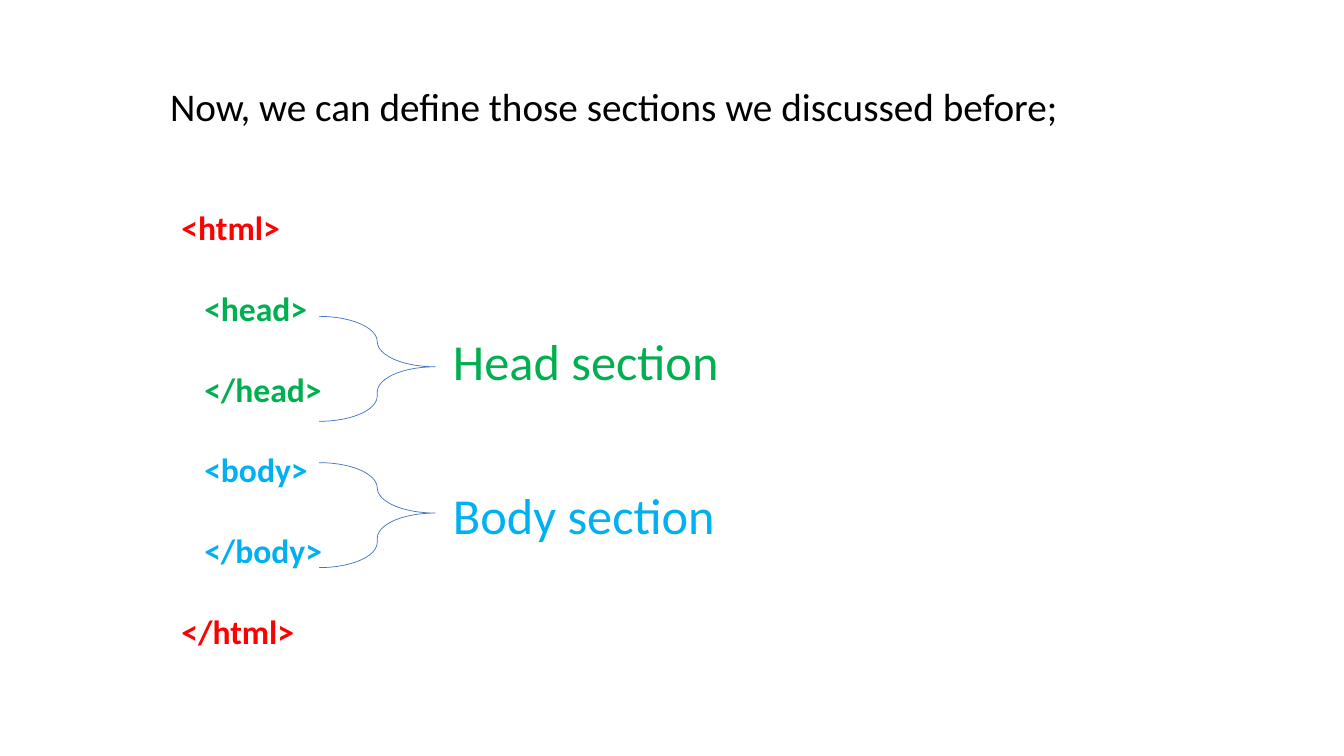
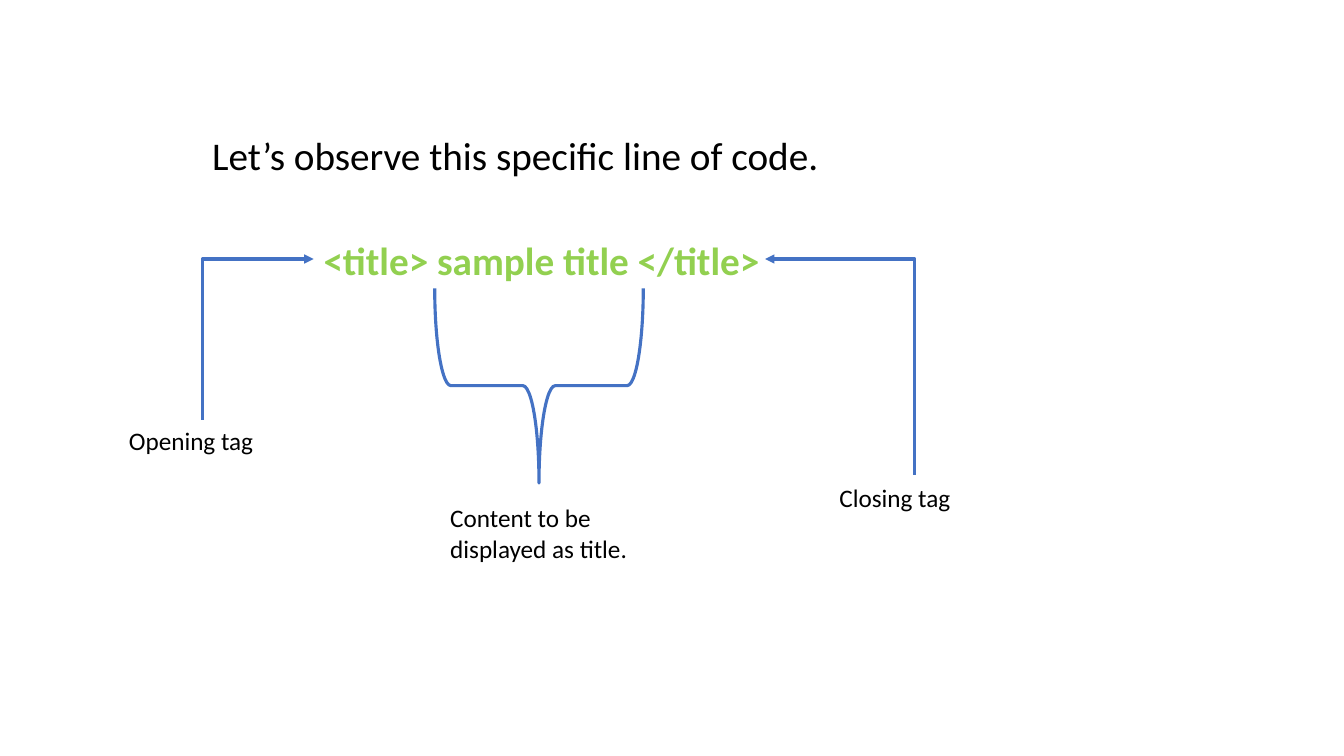
import pptx
import pptx.util
import pptx.dml.color
import pptx.enum.shapes
import pptx.oxml
import pptx.oxml.ns

Pt = pptx.util.Pt
SHAPES = pptx.enum.shapes
FONT = "Calibri"
COLORS = {
    "text": "000000",
    "html": "FF0000",
    "head": "00B050",
    "body": "00B0F0",
    "title": "92D050",
    "line": "4472C4",
}


def rgb(name):
    return pptx.dml.color.RGBColor.from_string(COLORS[name])


def style_line(shape, width):
    shape.line.color.rgb = rgb("line")
    shape.line.width = Pt(width)


def style_para(para, size, color, bold=False):
    para.font.name = FONT
    para.font.size = Pt(size)
    para.font.bold = bold
    para.font.color.rgb = rgb(color)


def add_frame(page, left, top, width, height):
    box = page.shapes.add_textbox(Pt(left), Pt(top), Pt(width), Pt(height))
    box.text_frame.word_wrap = True
    return box.text_frame


def add_label(page, left, top, width, height, text, size, color="text", bold=False):
    para = add_frame(page, left, top, width, height).paragraphs[0]
    para.text = text
    style_para(para, size, color, bold)


def add_heading(page, left, top, text):
    add_label(page, left, top, 672, 41, text, 28)


def add_brace(page, left, top, width, height, line_width, rotation=0, adjustments=()):
    brace = page.shapes.add_shape(
        SHAPES.MSO_SHAPE.RIGHT_BRACE, Pt(left), Pt(top), Pt(width), Pt(height))
    brace.shadow.inherit = False
    brace.fill.background()
    brace.rotation = rotation
    for index, value in enumerate(adjustments):
        brace.adjustments[index] = value
    style_line(brace, line_width)


def add_code(page, left, top, width, height, lines):
    frame = add_frame(page, left, top, width, height)
    for index, (text, color, indent) in enumerate(lines):
        para = frame.add_paragraph() if index else frame.paragraphs[0]
        para.text = text
        style_para(para, 24, color, bold=True)
        if index:
            para.space_before = Pt(28.8)
        para._p.get_or_add_pPr().set("marL", str(Pt(indent)))


def add_section(page, left, top, text, color, label_drop):
    add_brace(page, left, top, 83, 75, 0.5, adjustments=(0.24, 0.48))
    add_label(page, left + 88.5, top + label_drop, 205, 51, text, 36, color)


def add_pointer(page, tip_x, tip_y, end_x, end_y):
    pointer = page.shapes.add_connector(
        SHAPES.MSO_CONNECTOR.ELBOW, Pt(tip_x), Pt(tip_y), Pt(end_x), Pt(end_y))
    style_line(pointer, 2.25)
    properties = pointer._element.spPr
    properties.find(pptx.oxml.ns.qn("a:prstGeom")).set("prst", "bentConnector2")
    arrow = pptx.oxml.parse_xml(
        f'<a:headEnd {pptx.oxml.ns.nsdecls("a")} type="triangle"/>')
    properties.find(pptx.oxml.ns.qn("a:ln")).append(arrow)
    properties.append(pptx.oxml.parse_xml(
        f'<a:effectLst {pptx.oxml.ns.nsdecls("a")}/>'))


def build_sections(page):
    add_heading(page, 114.5, 55.5, "Now, we can define those sections we discussed before;")
    add_code(page, 122.5, 144.5, 480, 327, [
        ("<html>", "html", 0),
        ("<head>", "head", 16.3),
        ("</head>", "head", 16.3),
        ("<body>", "body", 16.3),
        ("</body>", "body", 16.3),
        ("</html>", "html", 0),
    ])
    add_section(page, 228, 226, "Head section", "head", 6.5)
    add_section(page, 228, 330.5, "Body section", "body", 12)


def build_tag_anatomy(page):
    add_heading(page, 144.5, 90.5, "Let’s observe this specific line of code.")
    add_label(page, 224, 165, 480, 41, "<title> sample title </title>", 28, "title", True)
    add_pointer(page, 224, 185, 144.5, 300)
    add_pointer(page, 546.5, 185, 653.5, 339)
    add_brace(page, 315.5, 201, 139, 149, 2.25, rotation=90)
    for left, top, height, text in (
        (85, 300.5, 29, "Opening tag"),
        (592.5, 341, 29, "Closing tag"),
        (314.5, 355.5, 51, "Content to be displayed as title."),
    ):
        add_label(page, left, top, 149, height, text, 18)


def main():
    deck = pptx.Presentation()
    deck.slide_width = Pt(960)
    deck.slide_height = Pt(540)
    for build in (build_sections, build_tag_anatomy):
        build(deck.slides.add_slide(deck.slide_layouts[6]))
    deck.save("out.pptx")


if __name__ == "__main__":
    main()
